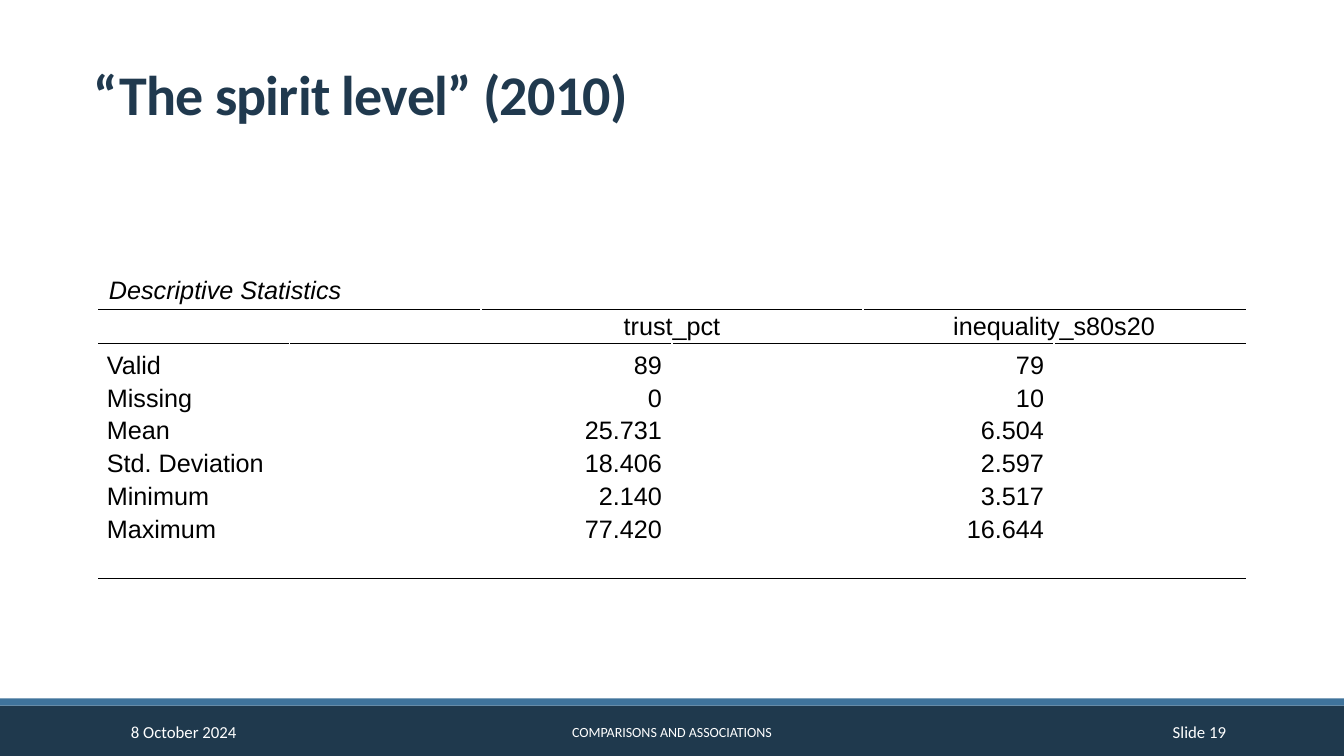
from pptx import Presentation
from pptx.dml.color import RGBColor
from pptx.enum.shapes import MSO_SHAPE
from pptx.enum.text import MSO_ANCHOR, PP_ALIGN
from pptx.oxml import parse_xml
from pptx.oxml.ns import nsdecls
from pptx.util import Inches, Pt

COLORS = {
    "navy": "1F394D",
    "blue": "3F739B",
    "title": "20394E",
    "white": "FFFFFF",
    "black": "000000",
}
WIDTH, HEIGHT = 13.33, 7.5
FOOTER_TOP, FOOTER_HEIGHT = 7.06, 0.4
COLUMN_COUNT = 6
COLUMN_WIDTH = 11.37 / COLUMN_COUNT
ROW_HEIGHTS = [0.38, 0.34, 0.38] + [0.31] * 6
CAPTION_ROW, HEADER_ROW, FIRST_ROW = 0, 1, 2
LAST_ROW = len(ROW_HEIGHTS) - 1
CAPTION_MARGINS = (0.1, 0.04, 0.07, 0.04)
HEADER_MARGINS = (0.08, 0.02, 0.08, 0.02)
FIRST_MARGINS = (0.08, 0.07, 0.1, 0.01)
BODY_MARGINS = (0.08, 0.01, 0.1, 0.01)
VARIABLES = ["trust_pct", "inequality_s80s20"]
STATISTICS = [
    ("Valid", "89", "79"),
    ("Missing", "0", "10"),
    ("Mean", "25.731", "6.504"),
    ("Std. Deviation", "18.406", "2.597"),
    ("Minimum", "2.140", "3.517"),
    ("Maximum", "77.420", "16.644"),
]
RULES = {
    CAPTION_ROW: {"lnB": 0.5},
    HEADER_ROW: {"lnT": 0.5, "lnB": 0.5},
    FIRST_ROW: {"lnT": 0.5},
    LAST_ROW: {"lnB": 1},
}


def color(name):
    return RGBColor.from_string(COLORS[name])


def format_paragraph(paragraph, font_name, size, color_name, alignment=PP_ALIGN.LEFT):
    paragraph.alignment = alignment
    font = paragraph.font
    font.name = font_name
    font.size = Pt(size)
    font.color.rgb = color(color_name)
    return font


def add_band(slide, top, height, color_name):
    band = slide.shapes.add_shape(
        MSO_SHAPE.RECTANGLE, 0, Inches(top), Inches(WIDTH), Inches(height)
    )
    band.shadow.inherit = False
    band.fill.solid()
    band.fill.fore_color.rgb = color(color_name)
    band.line.fill.background()


def add_title(slide, text):
    title = slide.shapes.title
    title.left, title.top = Inches(0.83), Inches(0.31)
    title.width, title.height = Inches(10.48), Inches(1)
    frame = title.text_frame
    frame.text = text
    frame.vertical_anchor = MSO_ANCHOR.BOTTOM
    paragraph = frame.paragraphs[0]
    format_paragraph(paragraph, "Calibri", 40, "title").bold = True
    paragraph.runs[0].font._element.set("spc", "-50")


def add_footer(slide, text, left, width, size, alignment):
    box = slide.shapes.add_textbox(
        Inches(left), Inches(FOOTER_TOP), Inches(width), Inches(FOOTER_HEIGHT)
    )
    frame = box.text_frame
    frame.word_wrap = True
    frame.vertical_anchor = MSO_ANCHOR.MIDDLE
    frame.text = text
    format_paragraph(frame.paragraphs[0], "Calibri", size, "white", alignment)


def set_margins(cell, margins):
    left, top, right, bottom = map(Inches, margins)
    cell.margin_left, cell.margin_top = left, top
    cell.margin_right, cell.margin_bottom = right, bottom


def add_rule(cell, side, width):
    cell._tc.get_or_add_tcPr().append(parse_xml(
        f'<a:{side} {nsdecls("a")} w="{Pt(width)}"><a:solidFill>'
        f'<a:srgbClr val="{COLORS["black"]}"/></a:solidFill></a:{side}>'
    ))


def fill_cell(cell, text, margins, alignment=PP_ALIGN.LEFT):
    cell.text = text
    set_margins(cell, margins)
    return format_paragraph(
        cell.text_frame.paragraphs[0], "Arial", 18, "black", alignment
    )


def add_statistics_table(slide):
    table = slide.shapes.add_table(
        len(ROW_HEIGHTS), COLUMN_COUNT, Inches(0.98), Inches(2.69),
        Inches(COLUMN_WIDTH * COLUMN_COUNT), Inches(sum(ROW_HEIGHTS)),
    ).table
    table.first_row = table.horz_banding = False
    for column in table.columns:
        column.width = Inches(COLUMN_WIDTH)
    for index, height in enumerate(ROW_HEIGHTS):
        table.rows[index].height = Inches(height)
        for cell in table.rows[index].cells:
            for side, width in RULES.get(index, {}).items():
                add_rule(cell, side, width)
            cell.fill.background()
            cell.vertical_anchor = MSO_ANCHOR.MIDDLE
            set_margins(cell, BODY_MARGINS)

    for row in (CAPTION_ROW, LAST_ROW):
        table.cell(row, 0).merge(table.cell(row, COLUMN_COUNT - 1))
    for column in range(0, COLUMN_COUNT, 2):
        table.cell(HEADER_ROW, column).merge(table.cell(HEADER_ROW, column + 1))

    caption = table.cell(CAPTION_ROW, 0)
    fill_cell(caption, "Descriptive Statistics", CAPTION_MARGINS).italic = True
    for index, variable in enumerate(VARIABLES, 1):
        fill_cell(
            table.cell(HEADER_ROW, 2 * index), variable, HEADER_MARGINS, PP_ALIGN.CENTER
        )
    for row, values in enumerate(STATISTICS, FIRST_ROW):
        margins = FIRST_MARGINS if row == FIRST_ROW else BODY_MARGINS
        for index, value in enumerate(values):
            alignment = PP_ALIGN.RIGHT if index else PP_ALIGN.LEFT
            fill_cell(table.cell(row, 2 * index), value, margins, alignment)


def main():
    presentation = Presentation()
    presentation.slide_width = Inches(WIDTH)
    presentation.slide_height = Inches(HEIGHT)
    slide = presentation.slides.add_slide(presentation.slide_layouts[5])
    add_band(slide, 7, 0.5, "navy")
    add_band(slide, 6.93, 0.07, "blue")
    add_title(slide, "“The spirit level” (2010)")
    add_statistics_table(slide)
    add_footer(slide, "8 October 2024", 1.2, 2.7, 12, PP_ALIGN.LEFT)
    add_footer(slide, "COMPARISONS AND ASSOCIATIONS", 4.03, 5.27, 10, PP_ALIGN.CENTER)
    add_footer(slide, "Slide 19", 10.83, 1.43, 12, PP_ALIGN.RIGHT)
    presentation.save("out.pptx")


if __name__ == "__main__":
    main()
